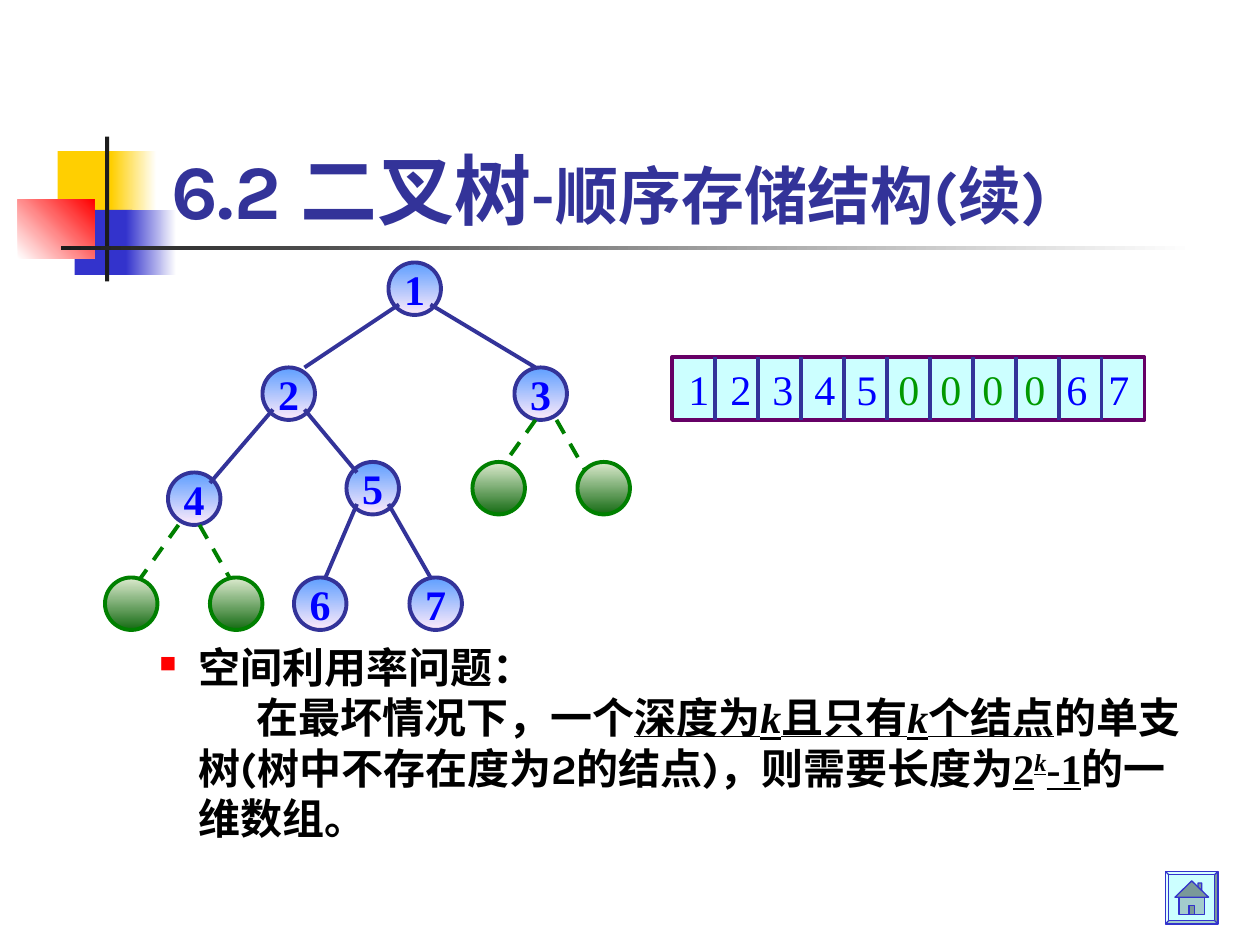
from lxml.etree import SubElement
from pptx import Presentation
from pptx.dml.color import RGBColor
from pptx.enum.dml import MSO_LINE
from pptx.enum.shapes import MSO_CONNECTOR, MSO_SHAPE
from pptx.enum.text import MSO_ANCHOR, MSO_AUTO_SIZE, PP_ALIGN
from pptx.oxml.ns import qn
from pptx.util import Inches, Pt

NAVY = RGBColor(0x33, 0x33, 0x99)
BLUE = RGBColor(0x33, 0x33, 0xCC)
GOLD = RGBColor(0xFF, 0xCF, 0x01)
RED = RGBColor(0xFF, 0x00, 0x00)
INK = RGBColor(0x1C, 0x1C, 0x1C)
BLACK = RGBColor(0x00, 0x00, 0x00)
WHITE = RGBColor(0xFF, 0xFF, 0xFF)
DIGIT = RGBColor(0x00, 0x00, 0xFF)
ZERO = RGBColor(0x00, 0x99, 0x00)
GREEN = RGBColor(0x00, 0x80, 0x00)
SKY = [RGBColor(0x5E, 0x9E, 0xFF), RGBColor(0xFF, 0xEB, 0xFA)]
LEAF = [RGBColor(0xDD, 0xEB, 0xCF), RGBColor(0x15, 0x6B, 0x13)]
CYAN = RGBColor(0xCC, 0xFF, 0xFF)
PLUM = RGBColor(0x66, 0x00, 0x66)
ROOF = RGBColor(0x7A, 0x99, 0x99)
WALL = RGBColor(0xA3, 0xCC, 0xCC)
SANS, SERIF = "Karla", "Times New Roman"


def unit(n):
    """Grid of 120 columns by 90 rows, twelve to the inch."""
    return Inches(n / 12)


def paint(shape, fill, edge=None, width=2.25, angle=0):
    """Fill with one colour, or with a gradient for a list of two."""
    shape.shadow.inherit = False
    if isinstance(fill, list):
        shape.fill.gradient()
        shape.fill.gradient_angle = (360 - angle) % 360
        for stop, tint in zip(shape.fill.gradient_stops, fill):
            stop.color.rgb = tint
    else:
        shape.fill.solid()
        shape.fill.fore_color.rgb = fill
    if edge is None:
        shape.line.fill.background()
    else:
        shape.line.color.rgb = edge
        shape.line.width = Pt(width)


def block(slide, kind, x, y, w, h, fill, edge=None, **look):
    shape = slide.shapes.add_shape(kind, unit(x), unit(y), unit(w), unit(h))
    paint(shape, fill, edge, **look)
    return shape


def link(slide, x1, y1, x2, y2, tint, dash=None):
    line = slide.shapes.add_connector(
        MSO_CONNECTOR.STRAIGHT, unit(x1), unit(y1), unit(x2), unit(y2))
    line.line.color.rgb = tint
    line.line.width = Pt(2.25)
    if dash:
        line.line.dash_style = dash
    SubElement(line.element.spPr, qn("a:effectLst"))


def write(para, text, size, tint, face=SANS, bold=True, under=None, slant=None):
    run = para.add_run()
    run.text = text
    font = run.font
    font.size, font.name, font.bold = Pt(size), face, bold
    font.underline, font.italic = under, slant
    font.color.rgb = tint
    SubElement(run._r.get_or_add_rPr(), qn("a:ea"), typeface=face)
    return run


def add_deco(slide, x, y):
    parts = [
        (3.8, 1.4, 5.8, 6.2, GOLD, 0), (8.9, 1.4, 4.3, 6.2, [GOLD, WHITE], 0),
        (5.4, 7, 5.5, 6.2, BLUE, 0), (10.3, 7, 4.8, 6.2, [BLUE, WHITE], 0),
        (0, 6, 7.3, 5.6, [WHITE, RED], 315),
        (8.3, 0, 0.4, 13.8, INK, 0), (4.1, 10.4, 108, 0.4, [INK, WHITE], 0),
    ]
    for dx, dy, w, h, fill, angle in parts:
        block(slide, MSO_SHAPE.RECTANGLE, x + dx, y + dy, w, h, fill, angle=angle)


def add_title(slide, x, y, w, h):
    title = slide.shapes.title
    title.left, title.top, title.width, title.height = map(unit, (x, y, w, h))
    frame = title.text_frame
    frame.auto_size = MSO_AUTO_SIZE.NONE
    frame.vertical_anchor = MSO_ANCHOR.BOTTOM
    para = frame.paragraphs[0]
    para.alignment = PP_ALIGN.LEFT
    write(para, "6.2 二叉树", 44, NAVY)
    write(para, "-顺序存储结构(续)", 36, NAVY)
    slide.shapes.element.append(title.element)  # above the ornament


def add_tree(slide, x, y):
    nodes = [(27, 0), (15, 10), (39, 10), (6, 20), (23, 19), (18, 30), (29, 30)]
    edges = [(28, 4, 19, 10), (31, 4, 41, 10), (16, 14, 10, 21),
             (19, 14, 24, 20), (24, 23, 21, 30), (27, 23, 31, 30)]
    gaps = [(0, 30), (10, 30), (35, 19), (45, 19)]
    stems = [(7, 25, 2, 32), (9, 25, 13, 32), (41, 15, 36, 22), (43, 15, 47, 22)]

    def ball(dx, dy, fill, edge):
        return block(slide, MSO_SHAPE.OVAL, x + dx, y + dy, 5, 5, fill, edge, angle=90)

    # Numbered nodes, then their edges
    for num, (dx, dy) in enumerate(nodes, 1):
        frame = ball(dx, dy, SKY, NAVY).text_frame
        frame.word_wrap = False
        frame.vertical_anchor = MSO_ANCHOR.MIDDLE
        frame.paragraphs[0].alignment = PP_ALIGN.CENTER
        write(frame.paragraphs[0], str(num), 24, DIGIT, SERIF)
    for a, b, c, d in edges:
        link(slide, x + a, y + b, x + c, y + d, NAVY)
    # Missing nodes on dashed edges
    for a, b, c, d in stems:
        link(slide, x + a, y + b, x + c, y + d, GREEN, MSO_LINE.DASH)
    for dx, dy in gaps:
        ball(dx, dy, LEAF, GREEN)


def add_array(slide, x, y, w, h):
    cells = "12345000067"
    frame = block(slide, MSO_SHAPE.RECTANGLE, x, y, w, h, CYAN, PLUM).text_frame
    frame.margin_left = Inches(0.13)
    frame.margin_right = 0
    frame.vertical_anchor = MSO_ANCHOR.MIDDLE
    para = frame.paragraphs[0]
    para.alignment = PP_ALIGN.LEFT
    tabs = SubElement(para._p.get_or_add_pPr(), qn("a:tabLst"))
    for i in range(1, len(cells)):
        SubElement(tabs, qn("a:tab"), pos=str(unit(4 * i)), algn="l")
    for text, tint in (("1\t2\t3\t4\t5\t", DIGIT), ("0\t0\t0\t0", ZERO), ("\t6\t7", DIGIT)):
        write(para, text, 24, tint, SERIF, bold=False)
    step = w / len(cells)
    for i in range(1, len(cells)):
        link(slide, x + i * step, y, x + i * step, y + h, NAVY)


def add_body(slide, x, y, w, h):
    frame = slide.shapes.add_textbox(*map(unit, (x, y, w, h))).text_frame
    frame.word_wrap = True
    head, para = frame.paragraphs[0], frame.add_paragraph()
    head.space_before = Pt(6)
    for item, indent in ((head, -0.31), (para, 0.46)):
        props = item._p.get_or_add_pPr()
        props.set("marL", str(Inches(0.81)))
        props.set("indent", str(Inches(indent)))
    # Red square bullet
    props = head._p.get_or_add_pPr()
    tint = SubElement(props, qn("a:buClr"))
    SubElement(tint, qn("a:srgbClr"), val=str(RED))
    SubElement(props, qn("a:buSzPct"), val="55000")
    SubElement(props, qn("a:buChar"), char="■")
    write(head, "空间利用率问题：", 24, BLACK)

    def add(text, face=SANS, under=True, slant=False):
        return write(para, text, 24, BLACK, face, under=under, slant=slant)

    add("在最坏情况下，一个", under=False)
    add("深度为")
    add("k", SERIF, slant=True)
    add("且只有")
    add("k", SERIF, slant=True)
    add("个结点")
    add("的单支树(树中不存在度为2的结点)，则需要长度为", under=False)
    add("2", SERIF)
    power = add("k", SERIF, slant=True)
    power._r.get_or_add_rPr().set("baseline", "30000")
    add("-1", SERIF)
    add("的一维数组。", under=False)


def add_home(slide, x, y, size):
    bevel = block(slide, MSO_SHAPE.BEVEL, x, y, size, size, CYAN, BLUE, width=0.75)
    bevel.adjustments[0] = 0.06
    # Outlines in hundredths of the button's side
    parts = [
        ([(62, 30), (62, 22), (69, 22), (69, 38)], ROOF),
        ([(26, 49), (74, 49), (74, 82), (26, 82)], WALL),
        ([(50, 18), (82, 49), (18, 49)], ROOF),
        ([(45, 65), (55, 65), (55, 82), (45, 82)], ROOF),
    ]
    for points, fill in parts:
        spots = [(unit(x + a * size / 100), unit(y + b * size / 100)) for a, b in points]
        build = slide.shapes.build_freeform(*spots[0])
        build.add_line_segments(spots[1:], close=True)
        paint(build.convert_to_shape(), fill, BLUE, 0.75)


def main():
    deck = Presentation()
    deck.slide_width, deck.slide_height = unit(120), unit(90)
    slide = deck.slides.add_slide(deck.slide_layouts[5])
    add_deco(slide, 1.7, 13)
    add_title(slide, 15.1, 8, 102.2, 15)
    add_body(slide, 8, 60.5, 106, 27.5)
    add_home(slide, 111, 83, 5)
    add_tree(slide, 10, 25)
    add_array(slide, 64, 34, 45, 6)
    deck.save("out.pptx")


if __name__ == "__main__":
    main()
